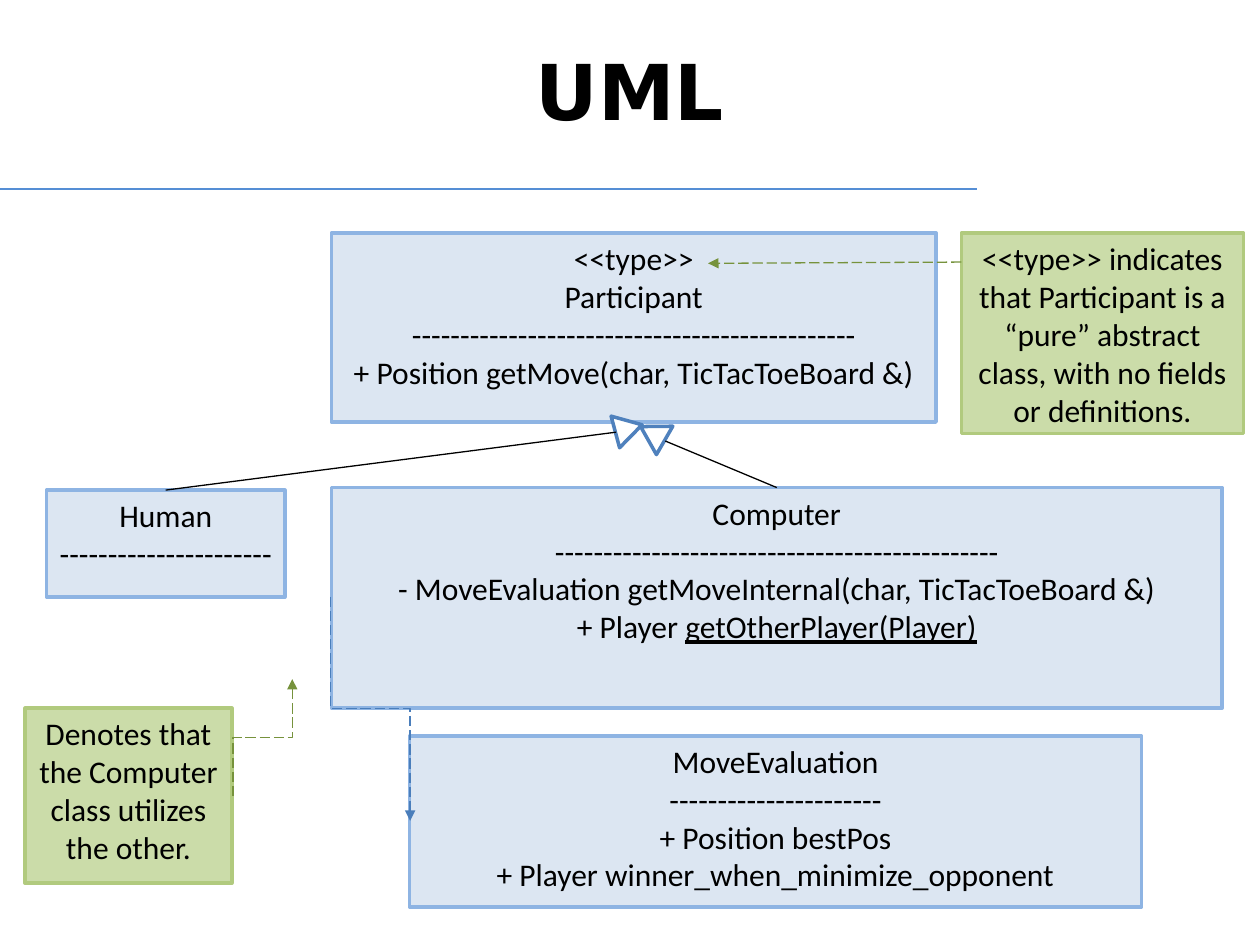
from lxml import etree
from pptx import Presentation
from pptx import util as u
from pptx.dml.color import RGBColor
from pptx.enum import dml, shapes, text
from pptx.oxml import ns

HUES = {
    "ink": "000000", "white": "FFFFFF", "rule": "558ED5",
    "blue": "DCE6F2", "blue_edge": "8EB4E3",
    "green": "CBDCA9", "green_edge": "B1CA7E",
    "tip": "4F81BD", "uses": "4A7EBB", "note": "76923C",
}
LONG, SHORT = "-" * 46, "-" * 22


def write(shape, lines, size=18, font="Calibri", bold=None):
    """Fill a shape with centred lines; a tuple holds plain then underlined text."""
    frame = shape.text_frame
    frame.word_wrap = True
    frame.vertical_anchor = text.MSO_ANCHOR.TOP
    for i, line in enumerate(lines):
        para = frame.paragraphs[0] if i == 0 else frame.add_paragraph()
        para.alignment = text.PP_ALIGN.CENTER
        parts = line if isinstance(line, tuple) else (line,)
        for j, part in enumerate(parts):
            run = para.add_run()
            run.text = part
            run.font.name, run.font.size = font, u.Pt(size)
            run.font.bold = bold
            run.font.underline = True if j else None
            run.font.color.rgb = RGBColor.from_string(HUES["ink"])


def link(kind, start, end, hue, turn=0, dashed=False):
    """Draw a connector, turned by degrees; a dashed one gets an arrowhead."""
    line = slide.shapes.add_connector(kind, *map(u.Inches, start + end))
    line.line.color.rgb = RGBColor.from_string(HUES[hue])
    line.line.width = u.Pt(0.75)
    props = line._element.spPr
    if turn:
        props.find(ns.qn("a:xfrm")).set("rot", str(turn * 60000))
    if dashed:
        line.line.dash_style = dml.MSO_LINE.LONG_DASH
        etree.SubElement(props.find(ns.qn("a:ln")), ns.qn("a:tailEnd"), type="triangle")
    etree.SubElement(props, ns.qn("a:effectLst"))
    return line


deck = Presentation()
deck.slide_width, deck.slide_height = u.Inches(10), u.Inches(7.5)
slide = deck.slides.add_slide(deck.slide_layouts[6])
STRAIGHT, ELBOW = shapes.MSO_CONNECTOR.STRAIGHT, shapes.MSO_CONNECTOR.ELBOW

# Title and rule
link(STRAIGHT, (0, 1.5), (7.75, 1.5), "rule")
title = slide.shapes.add_textbox(*map(u.Inches, (0.5, 0.3, 9, 1.25)))
write(title, ["UML"], size=44, font="DejaVu Sans", bold=True)

# Classes (blue) and notes (green)
boxes = {
    "base": ("blue", (2.63, 1.85, 4.8, 1.5), [
        "<<type>>", "Participant", LONG,
        "+ Position getMove(char, TicTacToeBoard &)"]),
    "human": ("blue", (0.37, 3.89, 1.89, 0.85), ["Human", SHORT]),
    "computer": ("blue", (2.63, 3.87, 7.07, 1.75), [
        "Computer", LONG,
        "- MoveEvaluation getMoveInternal(char, TicTacToeBoard &)",
        ("+ Player ", "getOtherPlayer(Player)")]),
    "result": ("blue", (3.25, 5.84, 5.81, 1.36), [
        "MoveEvaluation", SHORT, "+ Position bestPos",
        "+ Player winner_when_minimize_opponent"]),
    "type note": ("green", (7.63, 1.85, 2.24, 1.59), [
        "<<type>> indicates that Participant is a “pure” abstract class, "
        "with no fields or definitions."]),
    "use note": ("green", (0.2, 5.62, 1.64, 1.39), [
        "Denotes that the Computer class utilizes the other."]),
}
drawn = {}
for name, (hue, place, lines) in boxes.items():
    box = slide.shapes.add_shape(shapes.MSO_SHAPE.RECTANGLE, *map(u.Inches, place))
    box.shadow.inherit = False
    box.fill.solid()
    box.fill.fore_color.rgb = RGBColor.from_string(HUES[hue])
    box.line.color.rgb = RGBColor.from_string(HUES[hue + "_edge"])
    box.line.width = u.Pt(2)
    write(box, lines)
    drawn[name] = box

# Inheritance: hollow tips, then the lines that run into them
heirs = [
    ("human", (4.86, 3.29), 75, (1.32, 3.89), (4.89, 3.43)),
    ("computer", (5.05, 3.33), 300, (6.16, 3.87), (5.28, 3.5)),
]
for name, spot, turn, start, end in heirs:
    tip = slide.shapes.add_shape(
        shapes.MSO_SHAPE.ISOSCELES_TRIANGLE, *map(u.Inches, spot + (0.26, 0.22)))
    tip.rotation = turn
    tip.shadow.inherit = False
    tip.fill.solid()
    tip.fill.fore_color.rgb = RGBColor.from_string(HUES["white"])
    tip.line.color.rgb = RGBColor.from_string(HUES["tip"])
    tip.line.width = u.Pt(2)
    link(STRAIGHT, start, end, "ink").begin_connect(drawn[name], 0)

# Dashed arrows; the ends of the elbows are given before the turn
link(ELBOW, (3.83, 5.31), (2.05, 5.94), "uses", turn=270, dashed=True)
link(STRAIGHT, (7.63, 2.08), (5.62, 2.09), "note", dashed=True)
link(ELBOW, (2.55, 6.09), (1.62, 5.62), "note", turn=90, dashed=True)

deck.save("out.pptx")
